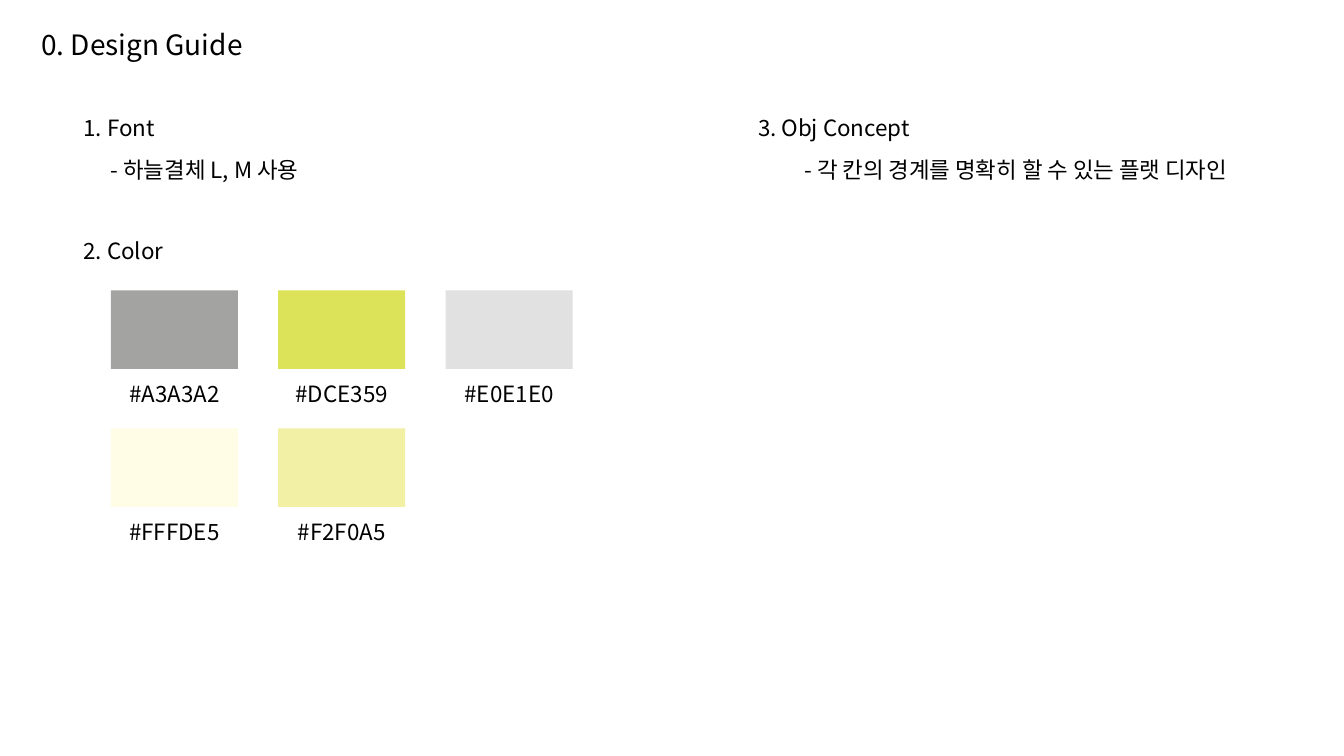
from pptx import Presentation
from pptx.dml.color import RGBColor
from pptx.enum.shapes import MSO_SHAPE
from pptx.enum.text import MSO_AUTO_SIZE, PP_ALIGN
from pptx.oxml.ns import qn
from pptx.util import Inches, Pt
from lxml import etree

RECTANGLE = MSO_SHAPE.RECTANGLE
FIT_SHAPE = MSO_AUTO_SIZE.SHAPE_TO_FIT_TEXT
LEFT, CENTER = PP_ALIGN.LEFT, PP_ALIGN.CENTER

COLORS = {
    "text": "000000",
    "gray": "A3A3A2",
    "lime": "DCE359",
    "light gray": "E0E1E0",
    "cream": "FFFDE5",
    "pale yellow": "F2F0A5",
}


class GuideSlide:
    font_name = "Noto Sans CJK KR"
    body_size = 16
    title_size = 20
    swatch_width, swatch_height = 1.26, 0.78

    def __init__(self, presentation):
        self.slide = presentation.slides.add_slide(presentation.slide_layouts[6])

    def text(self, text, left, top, width, height=0.37, size=body_size,
             alignment=LEFT, shapes=None):
        shapes = self.slide.shapes if shapes is None else shapes
        box = shapes.add_textbox(Inches(left), Inches(top), Inches(width), Inches(height))
        frame = box.text_frame
        frame.word_wrap = True
        frame.auto_size = FIT_SHAPE
        frame.text = text
        paragraph = frame.paragraphs[0]
        paragraph.alignment = alignment
        font = paragraph.runs[0].font
        font.name = self.font_name
        font.size = Pt(size)
        font.color.rgb = RGBColor.from_string(COLORS["text"])
        # Korean letters take the East Asian typeface
        properties = paragraph.runs[0].font._element
        etree.SubElement(properties, qn("a:ea"), typeface=self.font_name)

    def swatch(self, color_name, left, top):
        color = COLORS[color_name]
        group = self.slide.shapes.add_group_shape()
        self.text(f"#{color}", left, top + 0.84, self.swatch_width,
                  alignment=CENTER, shapes=group.shapes)
        shape = group.shapes.add_shape(RECTANGLE, Inches(left), Inches(top),
                                       Inches(self.swatch_width), Inches(self.swatch_height))
        shape.shadow.inherit = False
        shape.fill.solid()
        shape.fill.fore_color.rgb = RGBColor.from_string(color)
        shape.line.fill.background()


def main():
    presentation = Presentation()
    presentation.slide_width = Inches(13.33)
    presentation.slide_height = Inches(7.5)
    guide = GuideSlide(presentation)

    # Title
    guide.text("0. Design Guide", 0.31, 0.22, 2.83, 0.44, guide.title_size)

    # Font section
    guide.text("1. Font", 0.73, 1.08, 1.28)
    guide.text("- 하늘결체 L, M 사용", 1, 1.5, 2.3)

    # Color section: three swatches to a row
    guide.text("2. Color", 0.73, 2.3, 1.68)
    palette = ["gray", "lime", "light gray", "cream", "pale yellow"]
    for index, color_name in enumerate(palette):
        row, column = divmod(index, 3)
        guide.swatch(color_name, 1.1 + 1.66 * column, 2.88 + 1.37 * row)

    # Object concept section
    guide.text("3. Obj Concept", 7.42, 1.08, 2.93)
    guide.text("- 각 칸의 경계를 명확히 할 수 있는 플랫 디자인", 7.88, 1.5, 4.81)

    presentation.save("out.pptx")


if __name__ == "__main__":
    main()
